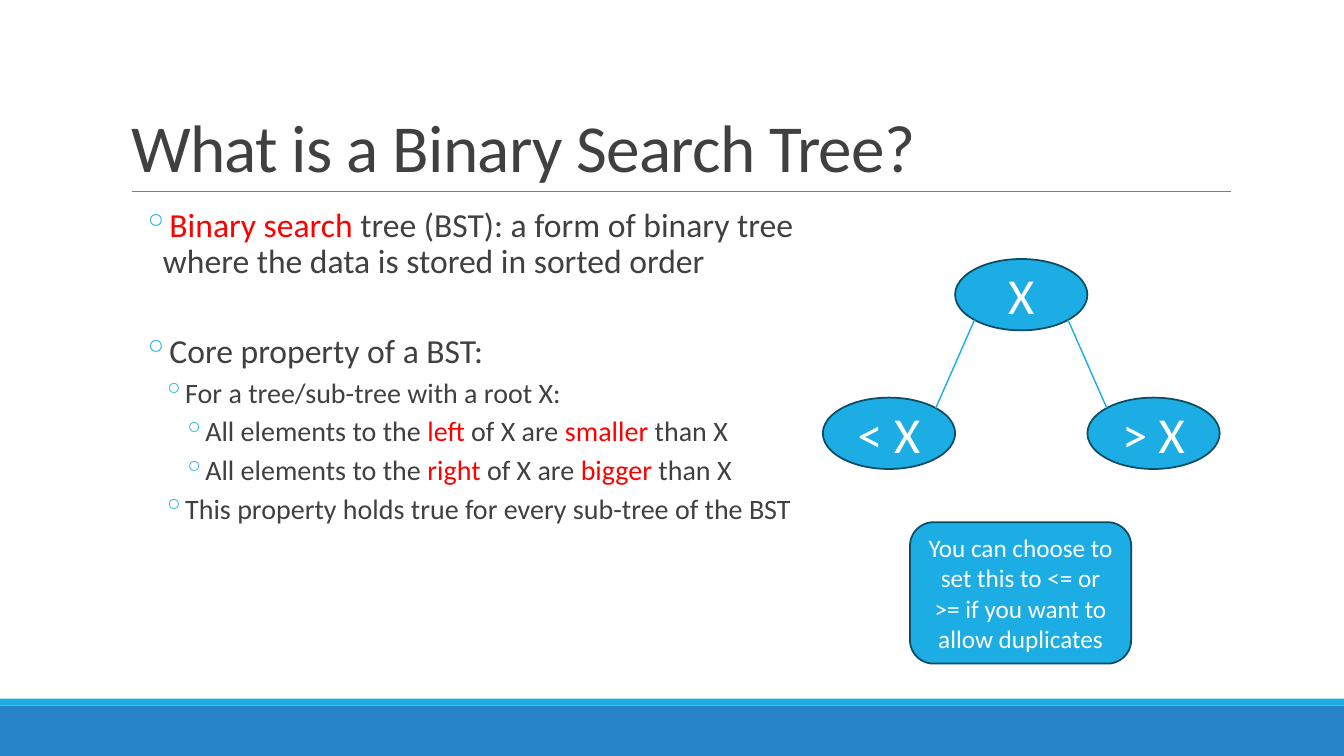
import pptx
import pptx.util
import pptx.dml.color
import pptx.enum.shapes
import pptx.enum.text
import pptx.oxml
import pptx.oxml.ns
import pptx.oxml.xmlchemy
import math

Pt = pptx.util.Pt
RGBColor = pptx.dml.color.RGBColor
Kind = pptx.enum.shapes.MSO_SHAPE
Anchor = pptx.enum.text.MSO_ANCHOR
Align = pptx.enum.text.PP_ALIGN
Node = pptx.oxml.xmlchemy.OxmlElement

BLUE = RGBColor(0x26, 0x83, 0xC6)
CYAN = RGBColor(0x1C, 0xAD, 0xE4)
NAVY = RGBColor(0x0C, 0x4C, 0x64)
GRAY = RGBColor(0x80, 0x80, 0x80)
DARK = RGBColor(0x40, 0x40, 0x40)
RED = RGBColor(0xFF, 0x00, 0x00)
WHITE = RGBColor(0xFF, 0xFF, 0xFF)


class Deck:
    """Style and current slide."""
    font = "Calibri"

    def __init__(self, wide, high):
        self.prs = pptx.Presentation()
        self.prs.slide_width, self.prs.slide_height = Pt(wide), Pt(high)
        self.slide = self.prs.slides.add_slide(self.prs.slide_layouts[5])

    def run(self, para, text, size, color):
        run = para.add_run()
        run.text = text
        run.font.name = self.font
        run.font.size = Pt(size)
        run.font.color.rgb = color
        return run

    def title(self, text, *box):
        head = self.slide.shapes.title
        head.left, head.top, head.width, head.height = map(Pt, box)
        frame = head.text_frame
        frame.auto_size = pptx.enum.text.MSO_AUTO_SIZE.NONE
        frame.vertical_anchor = Anchor.BOTTOM
        para = frame.paragraphs[0]
        para.alignment = Align.LEFT
        para.line_spacing = 0.85
        run = self.run(para, text, 48, DARK)
        run._r.get_or_add_rPr().set("spc", "-50")

    def shape(self, kind, box, fill, edge=None, text="", size=18):
        item = self.slide.shapes.add_shape(kind, *map(Pt, box))
        item.shadow.inherit = False
        item.fill.solid()
        item.fill.fore_color.rgb = fill
        if edge is None:
            item.line.fill.background()
        else:
            item.line.color.rgb = edge
            item.line.width = Pt(1.25)
        if text:
            frame = item.text_frame
            frame.word_wrap = True
            frame.vertical_anchor = Anchor.MIDDLE
            para = frame.paragraphs[0]
            para.alignment = Align.CENTER
            self.run(para, text, size, WHITE)

    def line(self, ends, color, width):
        straight = pptx.enum.shapes.MSO_CONNECTOR.STRAIGHT
        item = self.slide.shapes.add_connector(straight, *map(Pt, ends))
        item.line.color.rgb = color
        item.line.width = Pt(width)
        item._element.spPr.append(Node("a:effectLst"))

    def bullets(self, rows, *box):
        """Each row: level, text size, space before, runs."""
        frame = self.slide.shapes.add_textbox(*map(Pt, box)).text_frame
        frame.word_wrap = True
        frame.margin_left = frame.margin_right = 0
        for num, (level, size, space, runs) in enumerate(rows):
            para = frame.add_paragraph() if num else frame.paragraphs[0]
            para.level = level
            para.line_spacing = 0.9
            para.space_before, para.space_after = Pt(space), Pt(4)
            props = para._p.get_or_add_pPr()
            props.set("marL", str(int(Pt(30 + 14.4 * level))))
            props.set("indent", str(int(Pt(-14.4))))
            props.append(pptx.oxml.parse_xml(
                f'<a:buClr {pptx.oxml.ns.nsdecls("a")}>'
                f'<a:srgbClr val="{CYAN}"/></a:buClr>'))
            mark = Node("a:buChar")
            mark.set("char", "◦")
            props.append(mark)
            for text, color in runs:
                self.run(para, text, size, color)


def side(way, size):
    return [("All elements to the ", DARK), (way, RED), (" of X are ", DARK),
            (size, RED), (" than X", DARK)]


def main():
    deck = Deck(960, 540)

    # Bands and rule
    deck.shape(Kind.RECTANGLE, (0, 504, 960, 36), BLUE)
    deck.shape(Kind.RECTANGLE, (0, 499, 960, 5), CYAN)
    deck.line((94, 136.5, 879, 136.5), GRAY, 0.5)

    # Title and text
    deck.title("What is a Binary Search Tree?", 86.4, 22.6, 792, 114.2)
    deck.bullets([
        (0, 24, 2, [("Binary search", RED),
                    (" tree (BST): a form of binary tree where the data is "
                     "stored in sorted order", DARK)]),
        (0, 24, 34, [("Core property of a BST:", DARK)]),
        (1, 20, 2, [("For a tree/sub-tree with a root X:", DARK)]),
        (2, 20, 2, side("left", "smaller")),
        (2, 20, 2, side("right", "bigger")),
        (1, 20, 2, [("This property holds true for every sub-tree of the BST",
                     DARK)]),
    ], 86.4, 145.4, 484, 329)

    # Note
    deck.shape(Kind.ROUNDED_RECTANGLE, (650, 373, 158, 101), CYAN, NAVY,
               "You can choose to set this to <= or >= if you want to "
               "allow duplicates")

    # Tree: root in the middle, one child each way
    mid, wide, high = 729.5, 94.5, 51
    top, low = 185, 284
    for way, text in ((0, "X"), (-1, "< X"), (1, "> X")):
        left = mid + way * wide - wide / 2
        deck.shape(Kind.OVAL, (left, low if way else top, wide, high),
                   CYAN, NAVY, text, 36)

    # Branches meet the ovals at 45 degrees
    diag = math.sqrt(0.5) / 2
    for way in (-1, 1):
        deck.line((mid + way * wide * (1 - diag), low + high * (0.5 - diag),
                   mid + way * wide * diag, top + high * (0.5 + diag)),
                  CYAN, 1)

    deck.prs.save("out.pptx")


if __name__ == "__main__":
    main()
